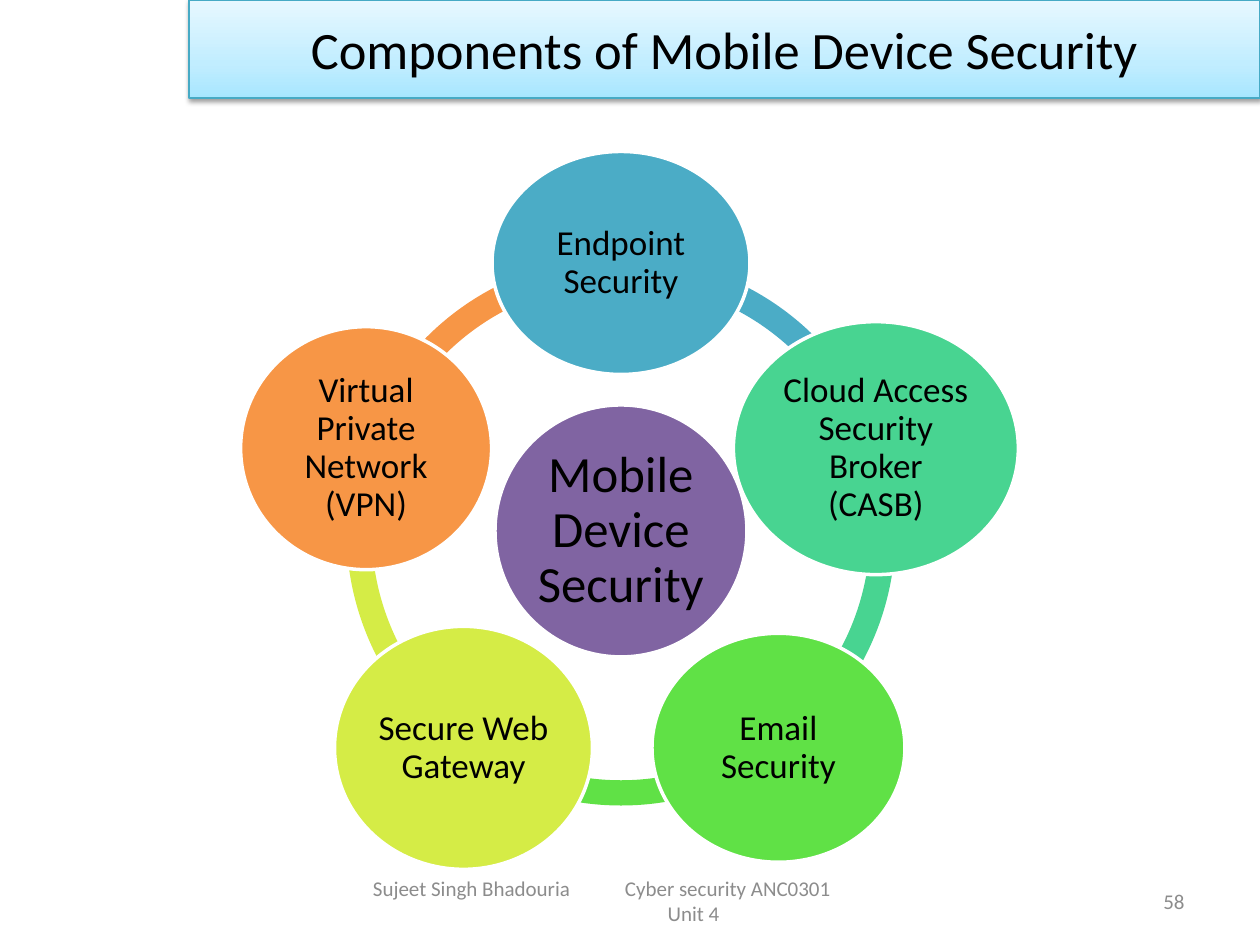
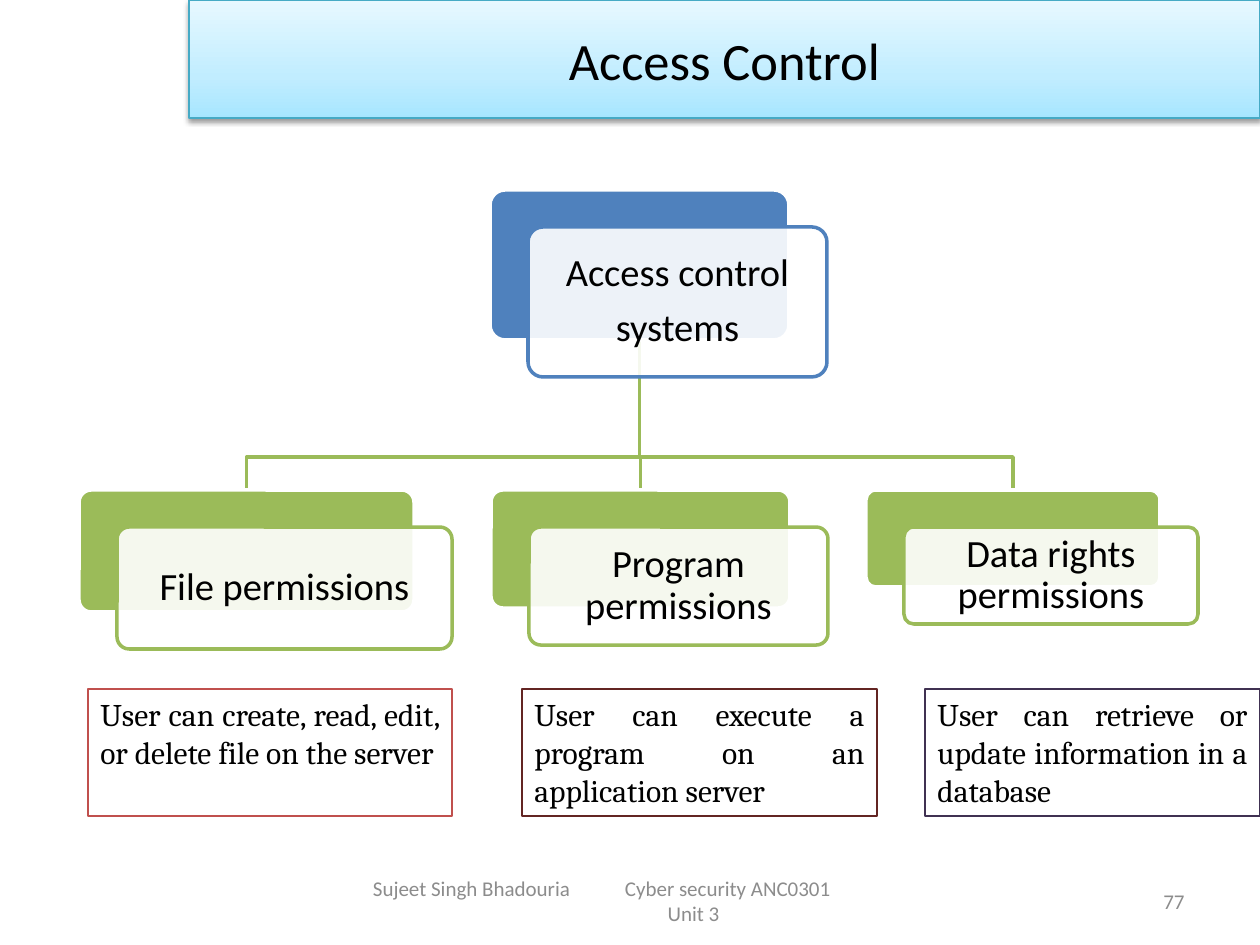
import copy
import math
from lxml import etree
from pptx import Presentation, util as u
from pptx.dml import color
from pptx.enum import shapes, text
from pptx.oxml import ns

SCALE = 914400 / 126
BLACK, WHITE, GREY = "000000", "FFFFFF", "8C8C8C"
GREEN, BLUE = "9BBB59", "4F81BD"
BAND_STOPS = [(0, "A7E6FF"), (0.35, "C1EDFF"), (1, "E7F8FF")]
BAND_LINE = "46AAC5"
AUTHOR, COURSE = "Sujeet Singh Bhadouria", "Cyber security ANC0301"

HUB = ("Mobile Device Security", "8064A2")
HUB_CENTER, HUB_SIZE = (621, 531), 252
RING_RADIUS, RING_SIZE, RING_THICKNESS = 268, 549, 0.046
COMPONENTS = [
    ("Endpoint Security", "4BACC6", 258, 223),
    ("Cloud Access Security Broker (CASB)", "48D491", 285, 253),
    ("Email Security", "60E146", 253, 229),
    ("Secure Web Gateway", "D5EC46", 258, 243),
    ("Virtual Private Network (VPN)", "F79646", 251, 243),
]

SYSTEMS = ("Access control\nsystems", 490, 190, 299, 150)
PERMISSIONS = [
    ("File permissions", 79, 490, 335, 122),
    ("Program permissions", 491, 490, 299, 118),
    ("Data rights permissions", 866, 490, 294, 97),
]
BRANCH_Y = 457
CARD_OFFSET = (38, 37)
NOTES_TOP, NOTES_HEIGHT = 689, 127
NOTES = [
    ("User can create, read, edit, or delete file on the server", 88, 364, "C0504D"),
    ("User can execute a program on an application server", 522, 355, "632523"),
    ("User can retrieve or update information in a database", 925, 335, "403152"),
]


def px(value):
    return u.Emu(round(value * SCALE))


def rgb(value):
    return color.RGBColor.from_string(value)


def sub(parent, tag, **attributes):
    return etree.SubElement(parent, ns.qn(tag), attributes)


def write(shape, words, size, align="CENTER", ink=BLACK, font="Calibri",
          spacing=None, inset=None, anchor="MIDDLE"):
    frame = shape.text_frame
    frame.word_wrap = True
    frame.vertical_anchor = getattr(text.MSO_ANCHOR, anchor)
    if inset is not None:
        frame.margin_left = frame.margin_right = px(inset)
        frame.margin_top = frame.margin_bottom = px(inset)
    frame.text = words
    for index, paragraph in enumerate(frame.paragraphs):
        paragraph.alignment = getattr(text.PP_ALIGN, align)
        if spacing:
            paragraph.line_spacing = spacing
            if index:
                paragraph.space_before = u.Pt(0.35 * size)
        paragraph.font.size = u.Pt(size)
        paragraph.font.name = font
        paragraph.font.color.rgb = rgb(ink)
    return frame


def draw(slide, preset, box, fill=None, line=None, width=2):
    shape = slide.shapes.add_shape(getattr(shapes.MSO_SHAPE, preset), *map(px, box))
    paint(shape, fill, line, width)
    return shape


def paint(shape, fill, line, width):
    shape.shadow.inherit = False
    if fill:
        shape.fill.solid()
        shape.fill.fore_color.rgb = rgb(fill)
    else:
        shape.fill.background()
    if line:
        shape.line.color.rgb = rgb(line)
        shape.line.width = u.Pt(width)
    else:
        shape.line.fill.background()


def add_band(slide, title, height):
    band = draw(slide, "RECTANGLE", (189, 0, 1071, height), line=BAND_LINE, width=0.75)
    band.fill.gradient()
    band.fill.gradient_angle = 90
    properties = band._element.spPr
    first = properties.find(".//" + ns.qn("a:gs"))
    first.addnext(copy.deepcopy(first))
    for stop, (position, tint) in zip(band.fill.gradient_stops, BAND_STOPS):
        stop.position = position
        stop.color.rgb = rgb(tint)
    shadow = sub(properties.find(ns.qn("a:effectLst")), "a:outerShdw",
                 blurRad=str(u.Pt(3.1)), dist=str(u.Pt(1.6)), dir="5400000", rotWithShape="0")
    sub(sub(shadow, "a:srgbClr", val=BLACK), "a:alpha", val="38000")
    write(band, title, 30)


def add_footer(slide, unit, number):
    footer = slide.shapes.add_textbox(*map(px, (347, 876, 693, 50)))
    course_line = footer.text_frame.paragraphs[0]
    tabs = sub(course_line._p.get_or_add_pPr(), "a:tabLst")
    sub(tabs, "a:tab", pos=str(px(263)), algn="l")
    frame = write(footer, f"{AUTHOR}\t{COURSE}\n{unit}", 12, ink=GREY)
    frame.paragraphs[0].alignment = text.PP_ALIGN.LEFT
    frame.margin_left = frame.margin_right = px(26)
    page = slide.shapes.add_textbox(*map(px, (903, 876, 294, 50)))
    write(page, number, 12, "RIGHT", GREY)


def add_slide(deck, title, band_height, unit, number):
    slide = deck.slides.add_slide(deck.slide_layouts[6])
    add_footer(slide, unit, number)
    add_band(slide, title, band_height)
    return slide


def add_disc(slide, words, fill, center, width, height, size):
    box = (center[0] - width / 2, center[1] - height / 2, width, height)
    write(draw(slide, "OVAL", box, fill, WHITE), words, size, spacing=0.9, inset=4)


def build_components(deck):
    slide = add_slide(deck, "Components of Mobile Device Security", 98, "Unit 4", "58")
    x, y = HUB_CENTER
    step = 360 / len(COMPONENTS)
    angles = [270 + step * index for index in range(len(COMPONENTS))]
    ring = (x - RING_SIZE / 2, y - RING_SIZE / 2, RING_SIZE, RING_SIZE)
    for angle, (_, fill, _, _) in reversed(list(zip(angles, COMPONENTS))):
        arc = draw(slide, "BLOCK_ARC", ring, fill)
        arc.adjustments[0] = angle % 360 * 0.6
        arc.adjustments[1] = (angle + step) % 360 * 0.6
        arc.adjustments[2] = RING_THICKNESS
    add_disc(slide, *HUB, HUB_CENTER, HUB_SIZE, HUB_SIZE, 29)
    for angle, (words, fill, width, height) in zip(angles, COMPONENTS):
        turn = math.radians(angle)
        center = (x + RING_RADIUS * math.cos(turn), y + RING_RADIUS * math.sin(turn))
        add_disc(slide, words, fill, center, width, height, 20)


def add_card(slide, words, left, top, width, height, accent):
    back = draw(slide, "ROUNDED_RECTANGLE", (left, top, width, height), accent, WHITE)
    dx, dy = CARD_OFFSET
    front = draw(slide, "ROUNDED_RECTANGLE", (left + dx, top + dy, width, height), WHITE, accent)
    for card in (back, front):
        card.adjustments[0] = 0.1
    tint = front._element.spPr.find(ns.qn("a:solidFill"))[0]
    sub(tint, "a:alpha", val="90000")
    write(front, words, 22, spacing=0.9, inset=11)


def add_branch(slide, child):
    _, left, top, width, height = SYSTEMS
    _, child_left, child_top, child_width, _ = child
    start, end = left + width / 2, child_left + child_width / 2
    builder = slide.shapes.build_freeform(px(start), px(top + height))
    corners = [(start, BRANCH_Y), (end, BRANCH_Y), (end, child_top)]
    builder.add_line_segments([(px(x), px(y)) for x, y in corners], close=False)
    paint(builder.convert_to_shape(), None, GREEN, 2)


def build_access_control(deck):
    slide = add_slide(deck, "Access Control", 118, "Unit 3", "77")
    for permission in reversed(PERMISSIONS):
        add_branch(slide, permission)
    add_card(slide, *SYSTEMS, BLUE)
    for permission in PERMISSIONS:
        add_card(slide, *permission, GREEN)
    for words, left, width, line in NOTES:
        note = draw(slide, "RECTANGLE", (left, NOTES_TOP, width, NOTES_HEIGHT), line=line, width=0.75)
        write(note, words, 18, "JUSTIFY", font="Cambria", anchor="TOP")


def main():
    deck = Presentation()
    deck.slide_width, deck.slide_height = px(1260), px(945)
    build_components(deck)
    build_access_control(deck)
    deck.save("out.pptx")


if __name__ == "__main__":
    main()
